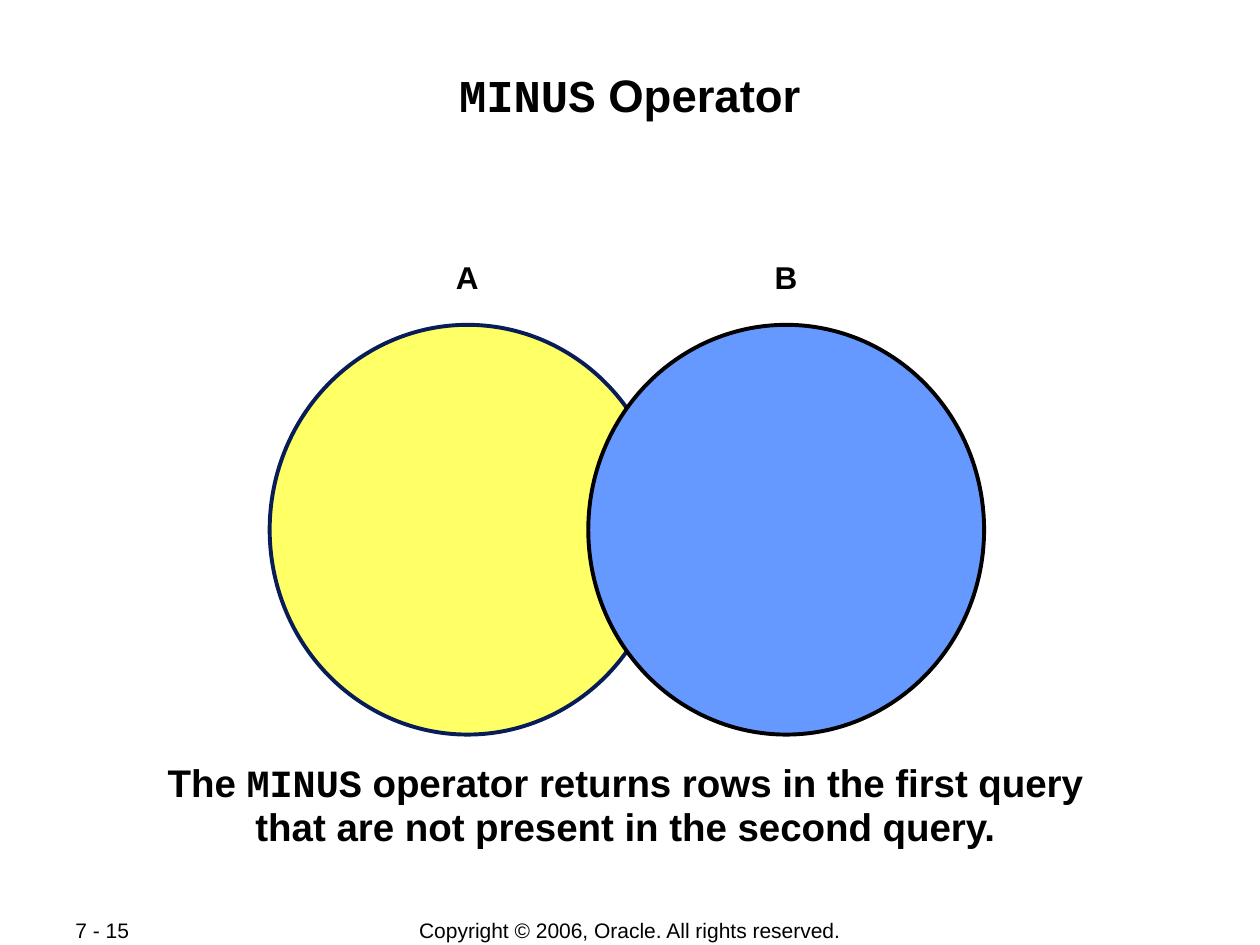
from pptx import Presentation
from pptx.dml.color import RGBColor
from pptx.enum.shapes import MSO_SHAPE as Shape
from pptx.enum.text import MSO_ANCHOR as Anchor, MSO_AUTO_SIZE as Auto, PP_ALIGN as Align
from pptx.util import Inches, Pt

SANS, MONO = "Arial", "Courier New"
BLACK = "000000"


def rgb(value):
    return RGBColor.from_string(value)


def add_text(s, box, runs, size, bold=True, align=Align.CENTER, **frame):
    tf = s.shapes.add_textbox(*map(Inches, box)).text_frame
    for name, value in {"word_wrap": True, "auto_size": Auto.NONE, **frame}.items():
        setattr(tf, name, value)
    p = tf.paragraphs[0]
    p.alignment = align
    for text, face in runs:
        r = p.add_run()
        r.text = text
        for name, value in {"name": face, "size": Pt(size), "bold": bold}.items():
            setattr(r.font, name, value)
        r.font.color.rgb = rgb(BLACK)
    return p


def add_title(s, box):
    edge = Inches(0.01)
    add_text(s, box, [("MINUS", MONO), (" Operator", SANS)], 26,
             margin_left=edge, margin_right=edge,
             margin_top=Inches(0.05), margin_bottom=edge)


def add_venn(s, box, sets):
    left, top, width, height = box
    diameter_x, diameter_y = width * 0.554, height * 0.849
    step = (width - diameter_x) / (len(sets) - 1)
    label_w, label_h = 0.38, 0.4
    for i, (label, fill, line) in enumerate(sets):
        x = left + i * step
        circle = s.shapes.add_shape(
            Shape.OVAL, Inches(x), Inches(top + height - diameter_y),
            Inches(diameter_x), Inches(diameter_y))
        circle.shadow.inherit = False
        circle.fill.solid()
        circle.fill.fore_color.rgb = rgb(fill)
        circle.line.color.rgb = rgb(line)
        circle.line.width = Pt(2.25)
        label_x = x + (diameter_x - label_w) / 2
        add_text(s, (label_x, top, label_w, label_h), [(label, SANS)], 18,
                 align=Align.LEFT, word_wrap=False, auto_size=Auto.SHAPE_TO_FIT_TEXT)


def add_summary(s, box):
    runs = [("The ", SANS), ("MINUS", MONO),
            (" operator returns rows in the first query"
             " that are not present in the second query.", SANS)]
    p = add_text(s, box, runs, 22, auto_size=Auto.SHAPE_TO_FIT_TEXT)
    p.line_spacing = 0.95


def add_footer(s, box):
    left, top, width, height = box
    parts = [
        ("Copyright © 2006, Oracle. All rights reserved.", 0.25, 0.5, Align.CENTER),
        ("7 - 15", 0, 0.12, Align.LEFT),
    ]
    for text, start, share, align in parts:
        add_text(s, (left + start * width, top, share * width, height),
                 [(text, SANS)], 12, bold=False, align=align,
                 word_wrap=False, vertical_anchor=Anchor.MIDDLE)


def main():
    prs = Presentation()
    prs.slide_width, prs.slide_height = Inches(10), Inches(7.5)
    s = prs.slides.add_slide(prs.slide_layouts[6])
    add_footer(s, (0.5, 7.28, 9, 0.21))
    add_title(s, (0.67, 0.48, 8.66, 0.96))
    add_venn(s, (2.14, 2, 5.67, 3.83),
             [("A", "FFFF66", "081D58"), ("B", "6699FF", BLACK)])
    add_summary(s, (0.99, 6, 7.95, 1.28))
    prs.save("out.pptx")


if __name__ == "__main__":
    main()
